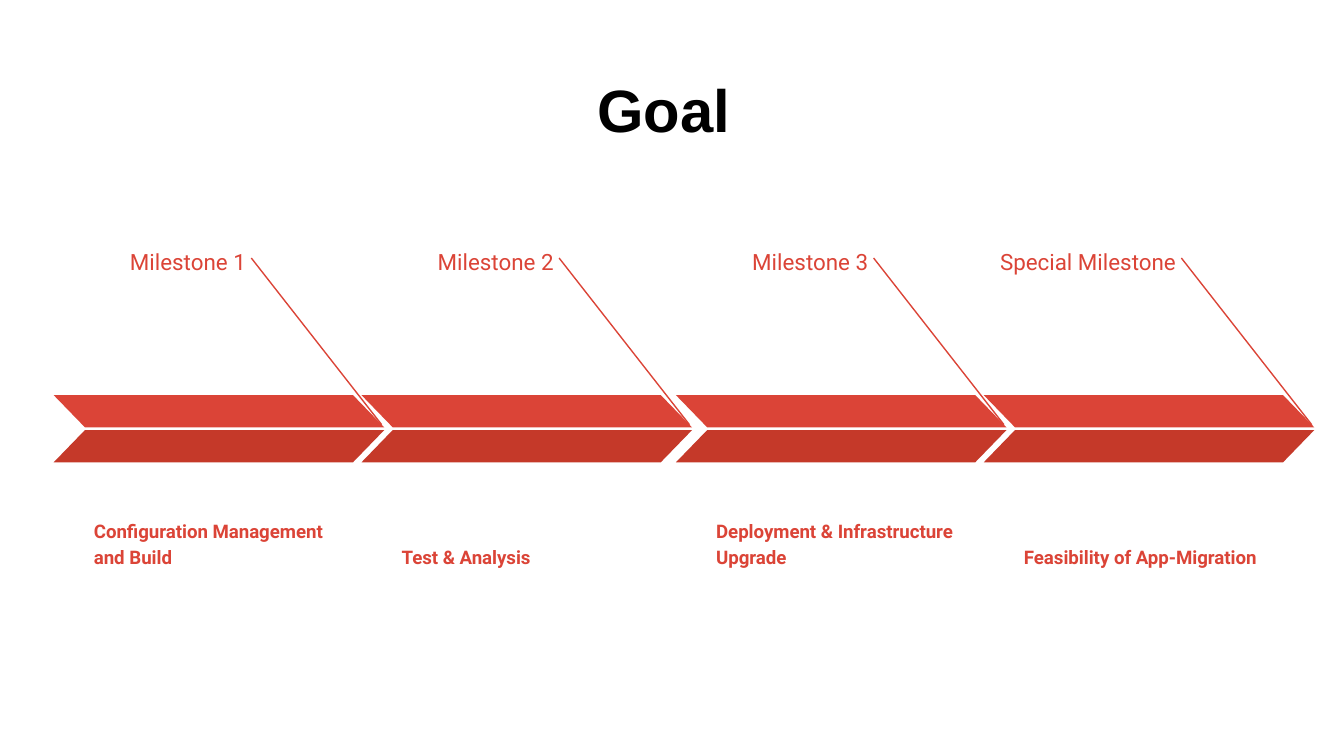
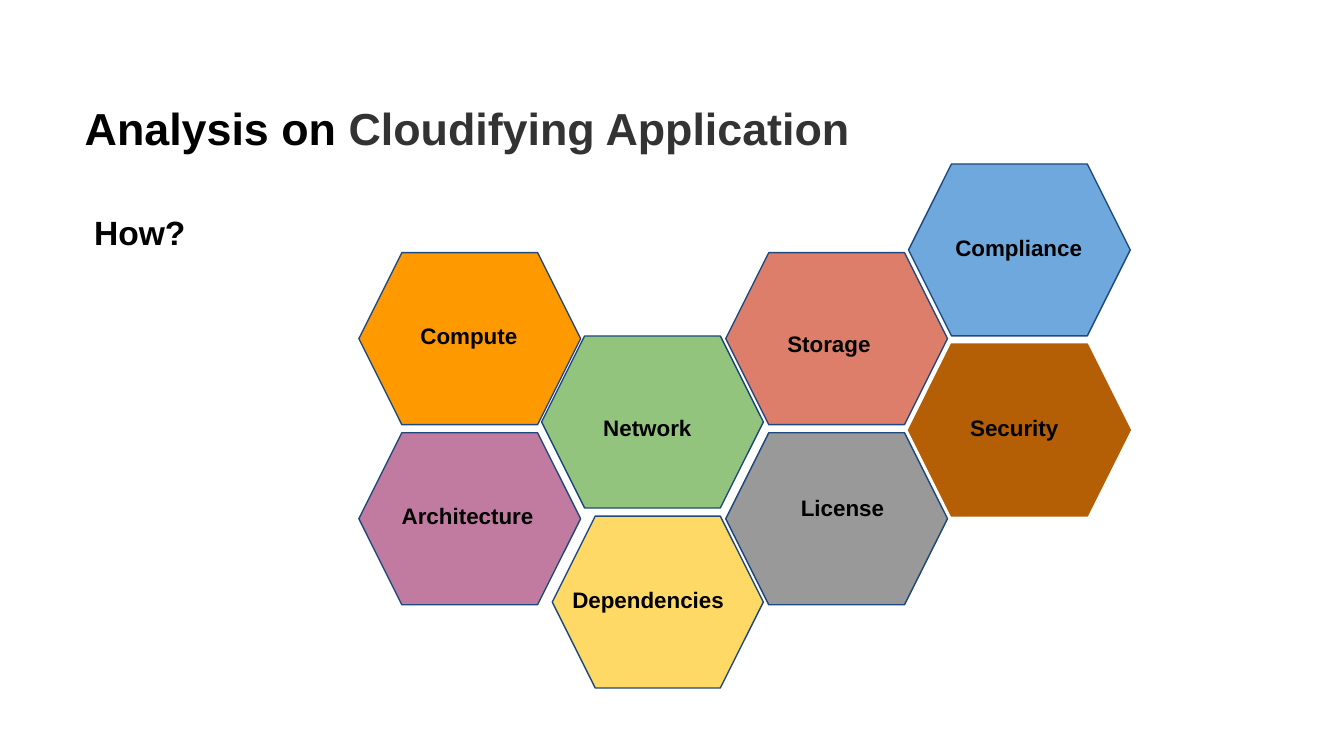
from lxml.etree import SubElement
from pptx import Presentation
from pptx.dml.color import RGBColor
from pptx.enum.shapes import MSO_CONNECTOR as CONN, MSO_SHAPE as SHAPE
from pptx.enum.text import MSO_ANCHOR as ANCHOR, MSO_AUTO_SIZE as AUTO, PP_ALIGN as ALIGN
from pptx.oxml.ns import qn
from pptx.util import Emu, Pt

PX = 9144
SLIDE_W = 1000
BLACK, GREY, NAVY = "000000", "333333", "1F497D"
RED, DARK_RED = "DB4437", "C53929"
SANS, ROBOTO = "Arial", "Roboto"

GOAL = "Goal "
MILESTONES = [
    ("Milestone 1", "Configuration Management and Build", 40, 133),
    ("Milestone 2", "Test & Analysis", 269, 126),
    ("Milestone 3", "Deployment & Infrastructure Upgrade", 503, 133),
    ("Special Milestone", "Feasibility of App-Migration", 732, 154),
]

ANALYSIS = [("Analysis on ", BLACK), ("Cloudifying Application", GREY)]
QUESTION = "How?"
HEX_W, HEX_H, HEX_LEFT, ROW_STEP = 165, 128, 267, 134
COLUMN_TOPS = [188, 250, 188, 122]
HEXAGONS = [
    ("Network", 1, 0, HEX_W, "93C47D", NAVY, (439, 298, 93)),
    ("Storage", 2, 0, HEX_W, "DD7E6B", NAVY, (576, 236, 93)),
    ("License", 2, 1, HEX_W, "999999", NAVY, (586, 358, 145)),
    ("Dependencies", 1, 1, 157, "FFD966", NAVY, (416, 426, 133)),
    ("Security", 3, 1, HEX_W, "B45F06", "B45F06", (712, 298, 93)),
    ("Compute", 0, 0, HEX_W, "FF9900", NAVY, (303, 230, 93)),
    ("Compliance", 3, 0, HEX_W, "6FA8DC", NAVY, (701, 164, 116)),
    ("Architecture", 0, 1, HEX_W, "C27BA0", NAVY, (289, 364, 145)),
]


def px(*values):
    return [Emu(v * PX) for v in values]


def rgb(value):
    return RGBColor.from_string(value)


def write(sp, runs, size, font=SANS, bold=True, align=ALIGN.LEFT,
          anchor=ANCHOR.TOP, spacing=1.0, bottom=10):
    tf = sp.text_frame
    tf.word_wrap = True
    tf.auto_size = AUTO.NONE
    tf.vertical_anchor = anchor
    tf.margin_left, tf.margin_top, tf.margin_right, tf.margin_bottom = px(10, 10, 10, bottom)
    p = tf.paragraphs[0]
    p.alignment, p.line_spacing, p.space_before = align, spacing, Pt(0)
    for text, color in runs:
        r = p.add_run()
        r.text = text
        r.font.name, r.font.size, r.font.bold = font, Pt(size), bold
        r.font.color.rgb = rgb(color)


def add_text(s, box, runs, size, **style):
    write(s.shapes.add_textbox(*px(*box)), runs, size, **style)


def place(sp, box):
    sp.left, sp.top, sp.width, sp.height = px(*box)
    return sp


def add_shape(s, kind, box, fill, line=None):
    sp = s.shapes.add_shape(kind, *px(*box))
    sp.shadow.inherit = False
    sp.fill.solid()
    sp.fill.fore_color.rgb = rgb(fill)
    if line:
        sp.line.color.rgb = rgb(line)
        sp.line.width = Pt(0.75)
    else:
        sp.line.fill.background()
    return sp


def add_line(s, start, end, color):
    line = s.shapes.add_connector(CONN.STRAIGHT, *px(*start, *end))
    line.line.color.rgb = rgb(color)
    line.line.width = Pt(0.75)
    SubElement(line._element.spPr, qn("a:effectLst"))


def add_milestone(s, label, description, x, label_w):
    add_text(s, (x + 153 - label_w, 172, label_w, 40), [(label, RED)], 12,
             font=ROBOTO, bold=False, align=ALIGN.RIGHT, spacing=1.15)
    add_text(s, (x + 20, 359, 202, 74), [(description, RED)], 10,
             font=ROBOTO, anchor=ANCHOR.BOTTOM, spacing=1.15)
    add_line(s, (x + 147, 192), (x + 244, 316), RED)
    for y, fill in ((294, RED), (320, DARK_RED)):
        half = add_shape(s, SHAPE.PARALLELOGRAM, (x, y, 246, 24), fill)
        half.adjustments[0] = 0.97
        if fill == RED:
            half._element.spPr.find(qn("a:xfrm")).set("flipH", "1")


def build_goal(prs):
    s = prs.slides.add_slide(prs.slide_layouts[5])
    title = place(s.shapes.title, (34, 49, 932, 63))
    write(title, [(GOAL, BLACK)], 32, align=ALIGN.CENTER, anchor=ANCHOR.MIDDLE)
    for milestone in MILESTONES:
        add_milestone(s, *milestone)


def build_analysis(prs):
    s = prs.slides.add_slide(prs.slide_layouts[0])
    title = place(s.shapes.title, (53, 62, 879, 121))
    write(title, ANALYSIS, 24, anchor=ANCHOR.MIDDLE, bottom=65)
    write(place(s.placeholders[1], (60, 148, 865, 378)), [(QUESTION, BLACK)], 18)
    for name, col, row, w, fill, line, (x, y, label_w) in HEXAGONS:
        left = HEX_LEFT + 273 * col // 2 + HEX_W - w
        top = COLUMN_TOPS[col] + ROW_STEP * row
        add_shape(s, SHAPE.HEXAGON, (left, top, w, HEX_H), fill, line)
        add_text(s, (x, y, label_w, 44), [(name, BLACK)], 12)


def main():
    prs = Presentation()
    prs.slide_width = Emu(SLIDE_W * PX)
    prs.slide_height = Emu(SLIDE_W * PX * 9 // 16)
    build_goal(prs)
    build_analysis(prs)
    prs.save("out.pptx")


if __name__ == "__main__":
    main()
